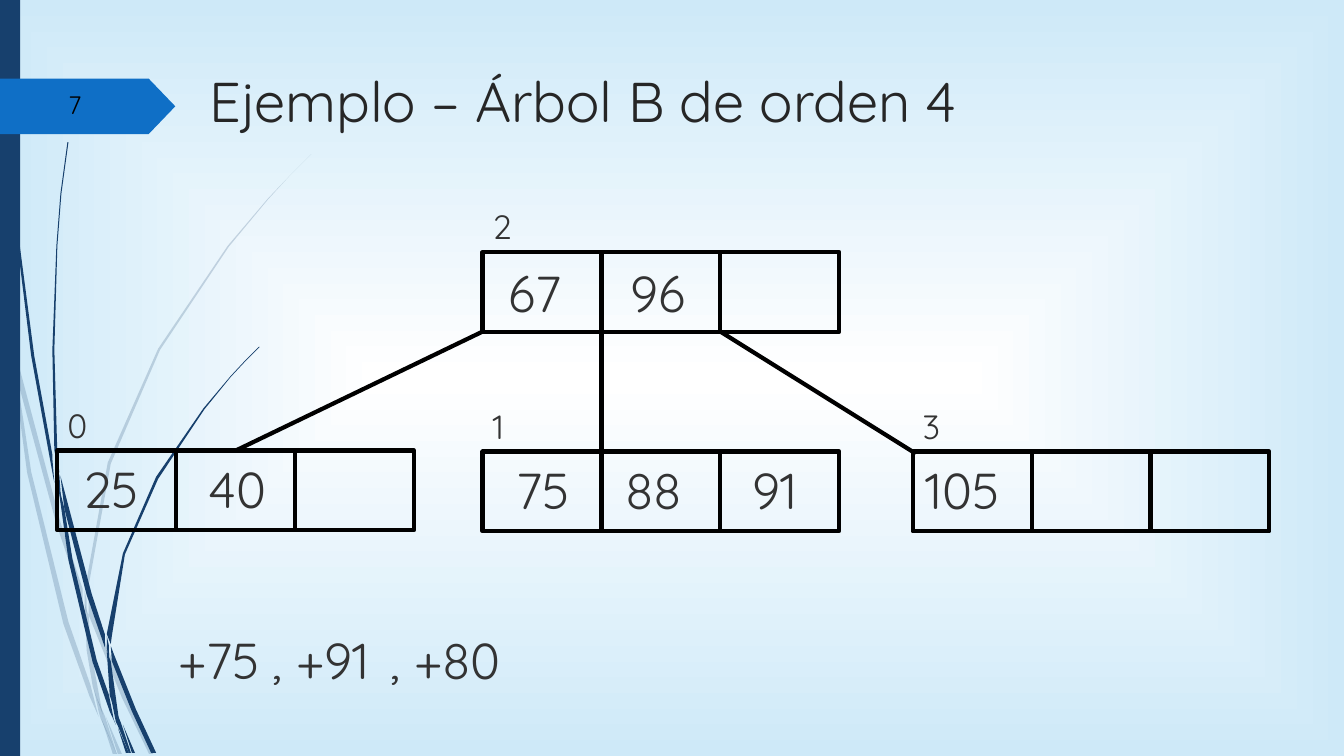
from pptx import Presentation
from pptx import util as u
from pptx.dml.color import RGBColor
from pptx.enum import shapes, text
from pptx.oxml import parse_xml
from pptx.oxml.ns import nsdecls, qn
from lxml import etree

NAVY = RGBColor(0x17, 0x40, 0x6D)
BLUE = RGBColor(0x0F, 0x6F, 0xC6)
SKY = RGBColor(0xCE, 0xE9, 0xF8)
WHITE = RGBColor(0xFF, 0xFF, 0xFF)
BLACK = RGBColor(0, 0, 0)
TITLE_GREY = RGBColor(0x26, 0x26, 0x26)
TEXT_GREY = RGBColor(0x33, 0x33, 0x33)

CELL_W, NODE_W, NODE_H = 1.18, 3.54, 0.79

# Outlines of the grass blades, in hundredths of an inch
PALE_BLADES = [
    [(8, 347), (6, 320), (0, 282), (0, 299), (8, 342)],
    [(56, 520), (82, 597), (82, 584), (60, 518), (14, 345), (17, 376)],
    [(92, 607), (88, 596), (88, 610), (121, 692), (148, 748), (152, 748), (126, 690)],
    [(117, 748), (121, 748), (105, 711)],
    [(90, 680), (68, 617), (31, 468), (17, 376), (11, 350), (27, 469), (63, 619),
     (89, 691), (98, 711), (96, 704)],
    [(84, 599), (86, 645), (92, 681), (95, 690), (102, 709), (101, 704), (90, 644),
     (88, 610), (87, 608)],
    [(88, 581), (110, 460), (159, 347), (227, 245), (266, 198), (287, 175), (309, 153),
     (287, 175), (266, 197), (226, 244), (157, 346), (107, 459), (85, 581), (85, 584),
     (88, 593)],
    [(101, 714), (112, 748), (116, 748)],
    [(85, 606), (86, 608), (86, 595), (84, 586), (84, 598)],
    [(96, 692), (93, 683), (98, 706), (100, 713), (116, 748), (104, 710)],
]
DARK_BLADES = [
    [(6, 109), (16, 232), (31, 353), (53, 474), (54, 479), (52, 455), (52, 451),
     (34, 353), (18, 231), (7, 109), (4, 48), (3, 0), (3, 48)],
    [(86, 590), (104, 642), (104, 631), (104, 629), (91, 589), (60, 472), (64, 505)],
    [(113, 649), (110, 641), (111, 656), (131, 706), (150, 747), (155, 747), (135, 704)],
    [(108, 689), (96, 655), (72, 555), (64, 505), (57, 477), (68, 556), (92, 657),
     (109, 706), (115, 719), (113, 714)],
    [(59, 469), (57, 451), (54, 347), (57, 244), (61, 192), (68, 141), (67, 141),
     (60, 192), (56, 244), (52, 347), (54, 447)],
    [(131, 747), (134, 747), (122, 719)],
    [(57, 476), (61, 502), (59, 471), (58, 471), (55, 449), (55, 453)],
    [(111, 631), (124, 550), (157, 475), (203, 406), (229, 374), (243, 359), (258, 344),
     (257, 344), (243, 358), (229, 373), (202, 405), (155, 473), (122, 549), (106, 629),
     (110, 639)],
    [(117, 722), (125, 747), (128, 747)],
    [(106, 645), (109, 690), (114, 704), (119, 716), (118, 713), (110, 656), (108, 651)],
    [(106, 643), (107, 648), (108, 653), (108, 640), (106, 631)],
    [(115, 705), (110, 691), (115, 716), (117, 720), (128, 747), (130, 747), (120, 717)],
]


class TreeSlide:
    font = "Quicksand"
    line_spacing = 0.93

    def __init__(self, prs):
        self.s = prs.slides.add_slide(prs.slide_layouts[5])

    def background(self, centre, edge):
        fill = self.s.background.fill
        fill.gradient()
        for stop, color in zip(fill.gradient_stops, (centre, edge)):
            stop.color.rgb = color
        lin = self.s.element.find(".//" + qn("a:lin"))
        lin.getparent().replace(lin, parse_xml(
            f'<a:path {nsdecls("a")} path="shape">'
            '<a:fillToRect l="50000" t="50000" r="50000" b="50000"/></a:path>'))

    def fill(self, sp, color):
        sp.shadow.inherit = False
        sp.fill.solid()
        sp.fill.fore_color.rgb = color
        sp.line.fill.background()

    def shape(self, kind, x, y, w, h, color):
        sp = self.s.shapes.add_shape(kind, *map(u.Inches, (x, y, w, h)))
        self.fill(sp, color)
        return sp

    def blade(self, points, opacity=100):
        fb = self.s.shapes.build_freeform(*points[0], scale=u.Inches(0.01))
        fb.add_line_segments(points[1:], close=True)
        sp = fb.convert_to_shape()
        self.fill(sp, NAVY)
        if opacity < 100:
            clr = sp.element.spPr.find(".//" + qn("a:srgbClr"))
            etree.SubElement(clr, qn("a:alpha")).set("val", str(opacity * 1000))

    def set_text(self, tf, words, size, color):
        tf.text = words
        tf.word_wrap = True
        tf.auto_size = text.MSO_AUTO_SIZE.NONE
        tf.vertical_anchor = text.MSO_ANCHOR.TOP
        p = tf.paragraphs[0]
        p.alignment = text.PP_ALIGN.LEFT
        p.line_spacing = self.line_spacing
        p.font.name, p.font.size = self.font, u.Pt(size)
        p.font.color.rgb = color

    def title(self, words, x, y, w, h):
        sp = self.s.shapes.title
        sp.left, sp.top, sp.width, sp.height = map(u.Inches, (x, y, w, h))
        self.set_text(sp.text_frame, words, 40, TITLE_GREY)

    def label(self, words, x, y, w, h, size=36, color=TEXT_GREY):
        sp = self.s.shapes.add_textbox(*map(u.Inches, (x, y, w, h)))
        self.set_text(sp.text_frame, words, size, color)

    def line(self, x1, y1, x2, y2):
        c = self.s.shapes.add_connector(
            shapes.MSO_CONNECTOR.STRAIGHT, *map(u.Inches, (x1, y1, x2, y2)))
        c.line.color.rgb = BLACK
        c.line.width = u.Pt(3)
        etree.SubElement(c.element.spPr, qn("a:effectLst"))
        return c

    def node(self, number, x, y, keys, key_dy=0.08):
        """Draw a three-cell node; keys are (text, offset from the node's left)."""
        sp = self.shape(shapes.MSO_SHAPE.RECTANGLE, x, y, NODE_W, NODE_H, WHITE)
        sp.fill.background()
        sp.line.color.rgb = BLACK
        sp.line.width = u.Pt(3)
        for i in (1, 2):
            self.line(x + i * CELL_W, y, x + i * CELL_W, y + NODE_H)
        self.label(number, x, y - 0.47, 0.39, 0.45, size=24)
        for key, dx in keys:
            self.label(key, x + dx, y + key_dy, 1.1, 0.68)
        return sp


def main():
    prs = Presentation()
    prs.slide_width, prs.slide_height = u.Inches(13.34), u.Inches(7.5)
    tree = TreeSlide(prs)

    tree.background(WHITE, SKY)
    for points in PALE_BLADES:
        tree.blade(points, opacity=20)
    for points in DARK_BLADES:
        tree.blade(points)
    tree.shape(shapes.MSO_SHAPE.RECTANGLE, 0, 0, 0.2, 7.5, NAVY)
    tag = tree.shape(shapes.MSO_SHAPE.PENTAGON, 0, 0.78, 1.74, 0.55, BLUE)
    tag.adjustments[0] = 0.48

    tree.title("Ejemplo – Árbol B de orden 4", 1.98, 0.67, 8.67, 0.99)
    tree.label("7", 0.58, 0.86, 0.85, 0.4, size=18, color=BLACK)

    root_x, root_y, leaf_y = 4.79, 2.5, 4.48
    tree.node("2", root_x, root_y, [("67", 0.16), ("96", 1.37)], key_dy=0.1)
    left = tree.node("0", 0.57, 4.47, [("25", 0.16), ("40", 1.4)])
    tree.node("1", root_x, leaf_y, [("75", 0.24), ("88", 1.32), ("91", 2.58)])
    tree.node("3", 9.06, leaf_y, [("105", 0.03)])

    root_bottom = root_y + NODE_H
    middle_x, right_x = root_x + CELL_W, root_x + 2 * CELL_W
    tree.line(root_x, root_bottom, 2.34, 4.47).end_connect(left, 0)
    tree.line(middle_x, root_bottom, middle_x, leaf_y)
    tree.line(right_x, root_bottom, 9.09, 4.5)

    for words, x in (("+75", 1.67), (", +91", 2.61), (", +80", 3.78)):
        tree.label(words, x, 6.25, 1.56, 0.68)

    prs.save("out.pptx")


if __name__ == "__main__":
    main()
